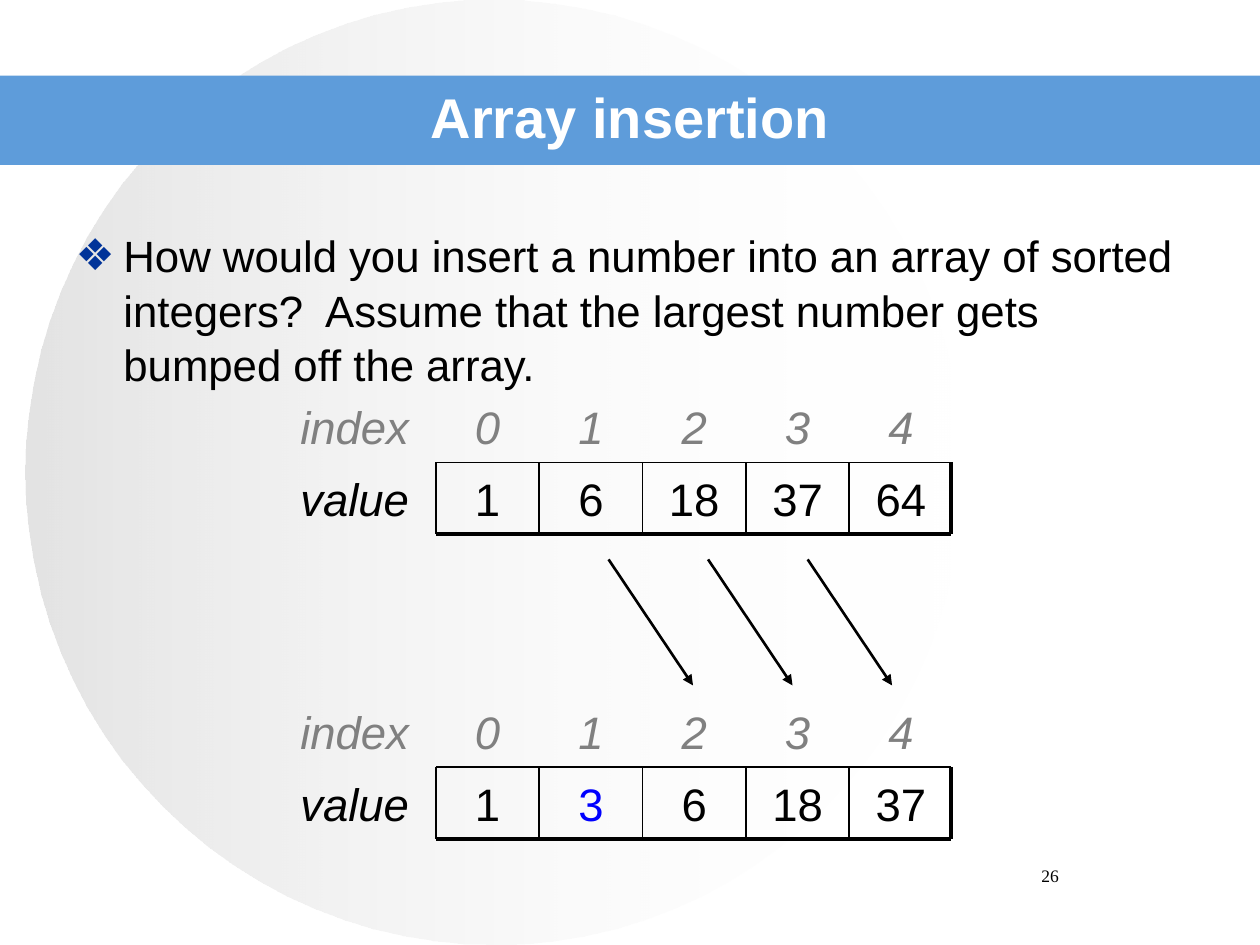
"""Build the array insertion slide: two sorted arrays and the shift between them."""
import pptx
import pptx.dml.color
import pptx.enum.shapes
import pptx.enum.text
import pptx.oxml.ns
import pptx.oxml.xmlchemy
import pptx.util
from pptx.util import Inches

RGBColor = pptx.dml.color.RGBColor
BLACK = RGBColor(0x00, 0x00, 0x00)
WHITE = RGBColor(0xFF, 0xFF, 0xFF)
GRAY = RGBColor(0x80, 0x80, 0x80)
SILVER = RGBColor(0xC0, 0xC0, 0xC0)
BLUE = RGBColor(0x00, 0x00, 0xFF)
BULLET_BLUE = RGBColor(0x00, 0x33, 0x99)
BANNER_BLUE = RGBColor(0x5E, 0x9C, 0xDA)
CENTER = pptx.enum.text.PP_ALIGN.CENTER
MIDDLE = pptx.enum.text.MSO_ANCHOR.MIDDLE
SHAPES = pptx.enum.shapes.MSO_SHAPE
new_element = pptx.oxml.xmlchemy.OxmlElement

LABEL_LEFT, LABEL_WIDTH = 2.17, 1.29
ARRAY_LEFT, CELL_WIDTH, ROW_HEIGHT = 3.46, 0.82, 0.57
ARRAY_RIGHT = 7.55


def write_text(shape, text, size, color, name="Arial", italic=False, align=CENTER):
    frame = shape.text_frame
    frame.word_wrap = True
    frame.text = text
    frame.vertical_anchor = MIDDLE
    frame.paragraphs[0].alignment = align
    font = frame.paragraphs[0].runs[0].font
    font.name = name
    font.size = pptx.util.Pt(size)
    font.color.rgb = color
    font.italic = italic


def draw_line(shapes, x1, y1, x2, y2, width):
    line = shapes.add_connector(
        pptx.enum.shapes.MSO_CONNECTOR.STRAIGHT,
        Inches(x1), Inches(y1), Inches(x2), Inches(y2))
    line.line.color.rgb = BLACK
    line.line.width = pptx.util.Pt(width)
    line._element.spPr.append(new_element("a:effectLst"))
    return line


deck = pptx.Presentation()
deck.slide_width = Inches(10)
deck.slide_height = Inches(7.5)
page = deck.slides.add_slide(deck.slide_layouts[1])
page.background.fill.solid()
page.background.fill.fore_color.rgb = WHITE

circle = page.shapes.add_shape(
    SHAPES.OVAL, Inches(0.2), Inches(0), Inches(7.44), Inches(7.5))
circle.fill.gradient()
circle.fill.gradient_angle = 0
for stop, color, opacity in zip(circle.fill.gradient_stops, (SILVER, WHITE), (44, 0)):
    stop.color.rgb = color
    alpha = new_element("a:alpha")
    alpha.set("val", str(opacity * 1000))
    stop._gs.find(pptx.oxml.ns.qn("a:srgbClr")).append(alpha)

banner = page.shapes.add_shape(
    SHAPES.RECTANGLE, Inches(0), Inches(0.6), Inches(10), Inches(0.71))
banner.fill.solid()
banner.fill.fore_color.rgb = BANNER_BLUE
for position, backdrop in enumerate((circle, banner), start=2):
    backdrop.line.fill.background()
    backdrop.shadow.inherit = False
    page.shapes._spTree.insert(position, backdrop._element)

page_number = page.shapes.add_textbox(
    Inches(7.17), Inches(6.82), Inches(2.33), Inches(0.5))
write_text(page_number, "26", 10, BLACK, "Times New Roman")
page_number.text_frame.vertical_anchor = pptx.enum.text.MSO_ANCHOR.TOP

title = page.shapes.title
title.left, title.top, title.width, title.height = map(Inches, (0.5, 0.3, 9, 1.25))
title.text_frame.auto_size = pptx.enum.text.MSO_AUTO_SIZE.NONE
write_text(title, "Array insertion", 32, WHITE)
title.text_frame.paragraphs[0].runs[0].font.bold = True

body = page.placeholders[1]
body.left, body.top, body.width, body.height = map(Inches, (0.5, 1.75, 9, 4.95))
body.text_frame.auto_size = pptx.enum.text.MSO_AUTO_SIZE.NONE
write_text(
    body,
    "How would you insert a number into an array of sorted integers?  "
    "Assume that the largest number gets bumped off the array.",
    25, BLACK, align=pptx.enum.text.PP_ALIGN.LEFT)
body.text_frame.vertical_anchor = pptx.enum.text.MSO_ANCHOR.TOP
para = body.text_frame.paragraphs[0]
para.space_before = pptx.util.Pt(0)
para.line_spacing = 1.04
properties = para._p.get_or_add_pPr()
properties.set("marL", str(int(Inches(0.38))))
properties.set("indent", str(int(Inches(-0.38))))
bullet_color = new_element("a:buClr")
bullet_rgb = new_element("a:srgbClr")
bullet_rgb.set("val", str(BULLET_BLUE))
bullet_color.append(bullet_rgb)
bullet = new_element("a:buChar")
bullet.set("char", "❖")
properties.extend([bullet_color, bullet])

arrays = [
    (3.1, ["1", "6", "18", "37", "64"], None),
    (5.52, ["1", "3", "6", "18", "37"], 1),
]
for top, values, inserted in arrays:
    group = page.shapes.add_group_shape()
    rows = [("index", map(str, range(len(values))), GRAY), ("value", values, BLACK)]
    for row, (label, entries, color) in enumerate(rows):
        row_top = Inches(top + row * ROW_HEIGHT)
        box = group.shapes.add_textbox(
            Inches(LABEL_LEFT), row_top, Inches(LABEL_WIDTH), Inches(ROW_HEIGHT))
        write_text(box, label, 26, color, italic=True)
        for column, entry in enumerate(entries):
            box = group.shapes.add_textbox(
                Inches(ARRAY_LEFT + column * CELL_WIDTH), row_top,
                Inches(CELL_WIDTH), Inches(ROW_HEIGHT))
            is_inserted = label == "value" and column == inserted
            write_text(box, entry, 26, BLUE if is_inserted else color,
                       italic=label == "index")

    cell_top = top + ROW_HEIGHT
    cell_bottom = cell_top + ROW_HEIGHT
    for column in range(len(values)):
        x = ARRAY_LEFT + column * CELL_WIDTH
        draw_line(group.shapes, x, cell_top, x, cell_bottom, 1)
    draw_line(group.shapes, ARRAY_RIGHT, cell_top, ARRAY_RIGHT, cell_bottom, 2.25)
    draw_line(group.shapes, ARRAY_LEFT, cell_top, ARRAY_RIGHT, cell_top, 1)
    draw_line(group.shapes, ARRAY_LEFT, cell_bottom, ARRAY_RIGHT, cell_bottom, 2.25)

arrows = page.shapes.add_group_shape()
for shift in range(3):
    x = 4.83 + shift * 0.79
    arrow = draw_line(arrows.shapes, x, 4.44, x + 0.67, 5.44, 1.5)
    head = new_element("a:tailEnd")
    head.set("type", "triangle")
    arrow.line._get_or_add_ln().append(head)

deck.save("out.pptx")
